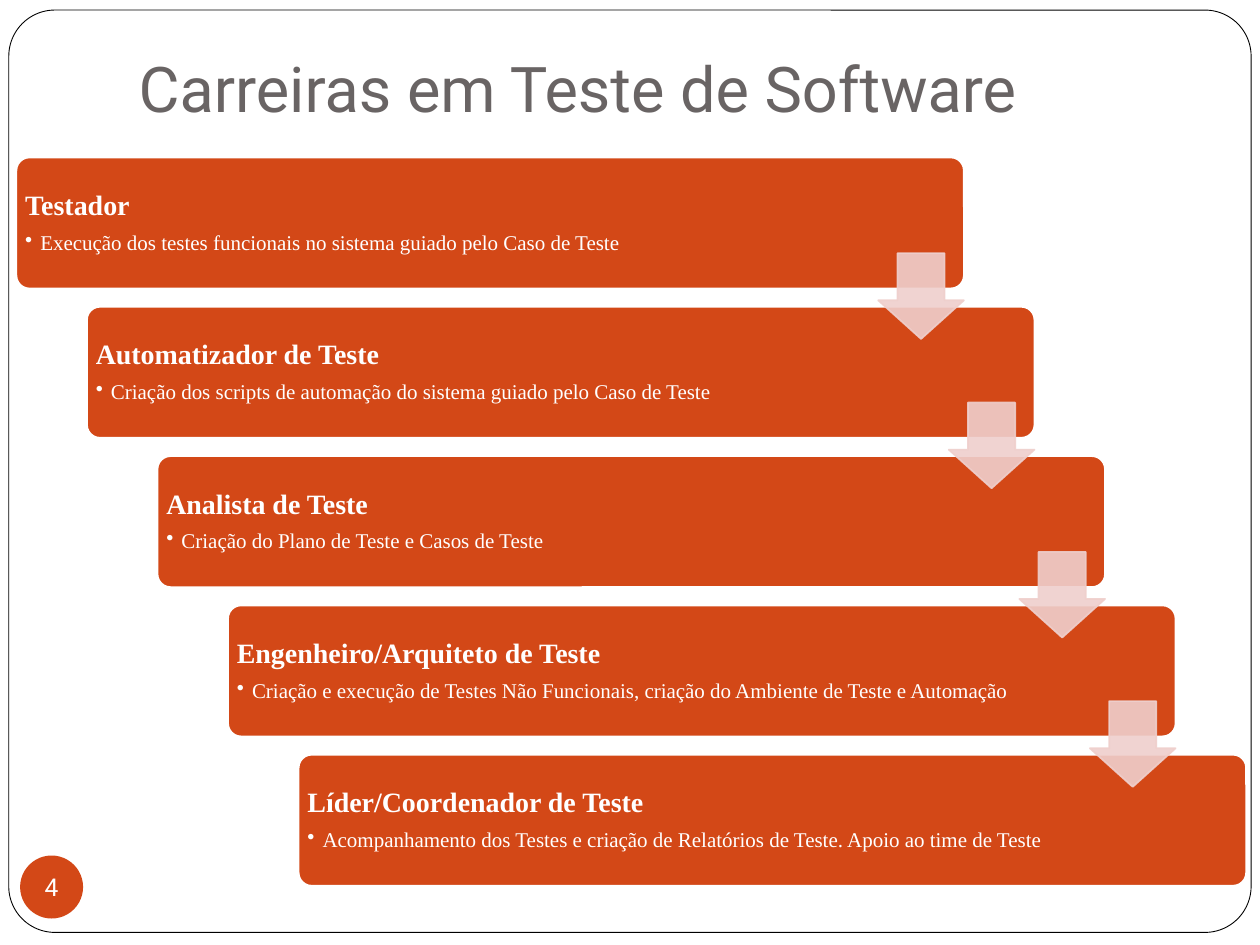
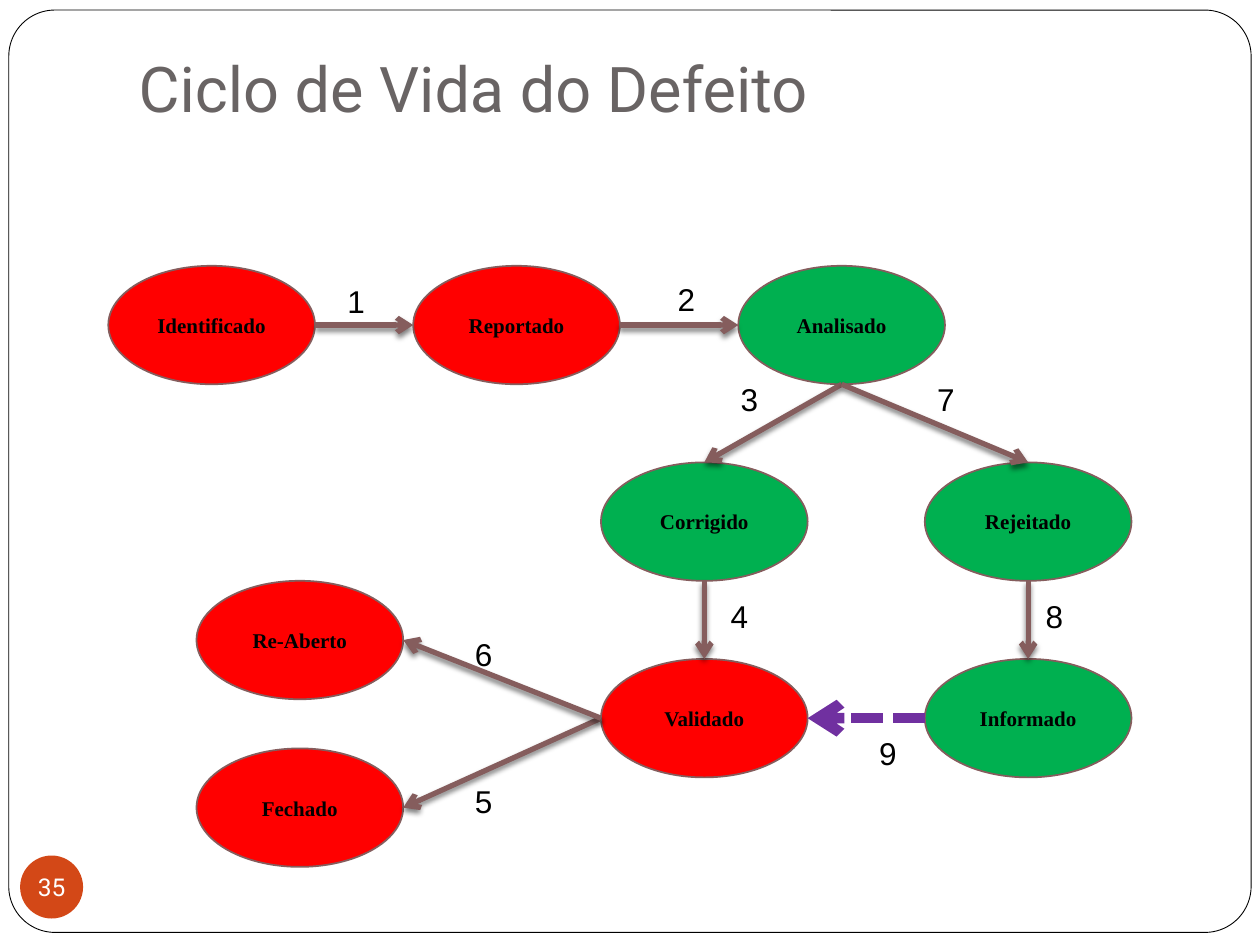
from lxml import etree
from pptx import Presentation
from pptx.dml.color import RGBColor
from pptx.enum.dml import MSO_LINE
from pptx.enum.shapes import MSO_CONNECTOR, MSO_SHAPE
from pptx.enum.text import MSO_ANCHOR, MSO_AUTO_SIZE, PP_ALIGN
from pptx.oxml.ns import qn
from pptx.util import Inches, Pt

ROUNDED, OVAL, DOWN_ARROW = MSO_SHAPE.ROUNDED_RECTANGLE, MSO_SHAPE.OVAL, MSO_SHAPE.DOWN_ARROW
STRAIGHT = MSO_CONNECTOR.STRAIGHT
SHORT_DASH = MSO_LINE.SQUARE_DOT
MIDDLE, BOTTOM = MSO_ANCHOR.MIDDLE, MSO_ANCHOR.BOTTOM
LEFT, CENTER = PP_ALIGN.LEFT, PP_ALIGN.CENTER
GROW = MSO_AUTO_SIZE.SHAPE_TO_FIT_TEXT

COLORS = {
    "white": "FFFFFF", "black": "000000", "title": "696464", "accent": "D34817",
    "step": "EFCFCC", "link": "855D5D", "return": "7030A0",
    "tester": "FF0000", "developer": "00B050",
}
HEADING_FONT, BODY_FONT, NUMBER_FONT = "Roboto", "Times New Roman", "Arial"

CAREERS = [
    ("Testador", "Execução dos testes funcionais no sistema guiado pelo Caso de Teste"),
    ("Automatizador de Teste",
     "Criação dos scripts de automação do sistema guiado pelo Caso de Teste"),
    ("Analista de Teste", "Criação do Plano de Teste e Casos de Teste"),
    ("Engenheiro/Arquiteto de Teste",
     "Criação e execução de Testes Não Funcionais, criação do Ambiente de Teste e Automação"),
    ("Líder/Coordenador de Teste",
     "Acompanhamento dos Testes e criação de Relatórios de Teste. Apoio ao time de Teste"),
]

# State: left, top, who is responsible
STATE_W, STATE_H = 1.64, 0.94
STATES = {
    "Identificado": (0.86, 2.11, "tester"),
    "Reportado": (3.28, 2.11, "tester"),
    "Analisado": (5.86, 2.11, "developer"),
    "Corrigido": (4.77, 3.67, "developer"),
    "Rejeitado": (7.34, 3.67, "developer"),
    "Validado": (4.77, 5.23, "tester"),
    "Informado": (7.34, 5.23, "developer"),
    "Re-Aberto": (1.56, 4.61, "tester"),
    "Fechado": (1.56, 5.94, "tester"),
}
# Transitions in numbered order: from, side, to, side, place of the number
TRANSITIONS = [
    ("Identificado", "right", "Reportado", "left", (2.66, 2.19)),
    ("Reportado", "right", "Analisado", "left", (5.28, 2.17)),
    ("Analisado", "bottom", "Corrigido", "top", (5.78, 2.97)),
    ("Corrigido", "bottom", "Validado", "top", (5.7, 4.69)),
    ("Validado", "left", "Fechado", "right", (3.67, 6.16)),
    ("Validado", "left", "Re-Aberto", "right", (3.67, 4.99)),
    ("Analisado", "bottom", "Rejeitado", "top", (7.34, 2.97)),
    ("Rejeitado", "bottom", "Informado", "top", (8.2, 4.69)),
    ("Informado", "left", "Validado", "right", (6.88, 5.78)),
]
SIDES = {"top": (0.5, 0), "left": (0, 0.5), "bottom": (0.5, 1), "right": (1, 0.5)}


def rgb(name):
    return RGBColor.from_string(COLORS[name])


def add_run(paragraph, text, size, font, color, bold=False):
    run = paragraph.add_run()
    run.text = text
    run.font.size = Pt(size)
    run.font.name = font
    run.font.bold = bold
    run.font.color.rgb = rgb(color)


def set_margins(frame, left, top, right, bottom):
    frame.margin_left, frame.margin_top = Inches(left), Inches(top)
    frame.margin_right, frame.margin_bottom = Inches(right), Inches(bottom)


def add_shape(slide, kind, box, fill, line=None, width=1):
    shape = slide.shapes.add_shape(kind, *map(Inches, box))
    shape.shadow.inherit = False
    shape.fill.solid()
    shape.fill.fore_color.rgb = rgb(fill)
    if line:
        shape.line.color.rgb = rgb(line)
        shape.line.width = Pt(width)
    else:
        shape.line.fill.background()
    return shape


def center_text(shape, text, size, font, color, bold=False):
    frame = shape.text_frame
    frame.vertical_anchor = MIDDLE
    frame.paragraphs[0].alignment = CENTER
    add_run(frame.paragraphs[0], text, size, font, color, bold)
    return frame


def add_base_slide(prs, title, number):
    """Slide with the shared frame, title and page badge."""
    slide = prs.slides.add_slide(prs.slide_layouts[5])

    # Frame, behind the title
    border = add_shape(slide, ROUNDED, (0.07, 0.08, 9.86, 7.32), "white", "black", 0.5)
    border.adjustments[0] = 0.05
    slide.shapes.element.insert(2, border.element)

    # Title
    heading = slide.shapes.title
    heading.left, heading.top = Inches(1), Inches(0.3)
    heading.width, heading.height = Inches(8.5), Inches(0.79)
    frame = heading.text_frame
    frame.vertical_anchor = BOTTOM
    set_margins(frame, 0.1, 0.05, 0.1, 0.1)
    frame.paragraphs[0].alignment = LEFT
    add_run(frame.paragraphs[0], title, 36, HEADING_FONT, "title")

    # Page badge
    badge = add_shape(slide, OVAL, (0.16, 6.79, 0.5, 0.5), "accent")
    frame = center_text(badge, str(number), 14, HEADING_FONT, "white")
    frame.word_wrap = False
    set_margins(frame, 0, 0, 0, 0)
    return slide


def add_career(slide, left, top, role, duty):
    """Career bar with the role and its bulleted duty."""
    bar = add_shape(slide, ROUNDED, (left, top, 7.52, 1.04), "accent", "white")
    bar.adjustments[0] = 0.1
    label = slide.shapes.add_textbox(*map(Inches, (left, top, 6.28, 1.04)))
    frame = label.text_frame
    frame.word_wrap = True
    frame.vertical_anchor = MIDDLE
    set_margins(frame, 0.07, 0.07, 0.07, 0.07)

    role_line, duty_line = frame.paragraphs[0], frame.add_paragraph()
    duty_line.level = 1
    properties = duty_line._p.get_or_add_pPr()
    properties.set("marL", str(Inches(0.12)))
    properties.set("indent", str(Inches(-0.12)))
    etree.SubElement(properties, qn("a:buChar"), char="•")
    for paragraph, space in ((role_line, 6), (duty_line, 2)):
        paragraph.line_spacing = 0.9
        paragraph.space_after = Pt(space)
    add_run(role_line, role, 16, BODY_FONT, "white", bold=True)
    add_run(duty_line, duty, 12, BODY_FONT, "white")


def add_step_arrow(slide, left, top):
    """Translucent arrow to the next career."""
    arrow = add_shape(slide, DOWN_ARROW, (left, top, 0.68, 0.68), "step", "step")
    arrow.adjustments[0], arrow.adjustments[1] = 0.55, 0.45
    for color in arrow.element.spPr.iter(qn("a:srgbClr")):
        etree.SubElement(color, qn("a:alpha"), val="90000")


def build_careers(slide, left, top):
    """Staircase of careers, then the arrows over it."""
    step_x, step_y = 0.56, 1.185
    for i, (role, duty) in enumerate(CAREERS):
        add_career(slide, left + i * step_x, top + i * step_y, role, duty)
    for i in range(len(CAREERS) - 1):
        add_step_arrow(slide, left + 6.84 + i * step_x, top + 0.76 + i * step_y)


def side_point(state, side):
    left, top, _ = STATES[state]
    across, down = SIDES[side]
    return Inches(left + across * STATE_W), Inches(top + down * STATE_H)


def add_transition(slide, start, end, is_return):
    """Arrow between states; the return one is dashed and has no shadow."""
    link = slide.shapes.add_connector(STRAIGHT, *start, *end)
    link.line.color.rgb = rgb("return" if is_return else "link")
    link.line.width = Pt(6 if is_return else 3)
    if is_return:
        link.line.dash_style = SHORT_DASH
    properties = link.element.spPr
    etree.SubElement(properties.find(qn("a:ln")), qn("a:tailEnd"), type="arrow")
    effects = etree.SubElement(properties, qn("a:effectLst"))
    if not is_return:
        shadow = etree.SubElement(effects, qn("a:outerShdw"), blurRad=str(Pt(3)),
                                  dist=str(Pt(2)), dir="5400000", rotWithShape="0")
        color = etree.SubElement(shadow, qn("a:srgbClr"), val=COLORS["black"])
        etree.SubElement(color, qn("a:alpha"), val="50000")


def add_number(slide, left, top, number):
    label = slide.shapes.add_textbox(*map(Inches, (left, top, 0.34, 0.4)))
    label.text_frame.word_wrap = False
    label.text_frame.auto_size = GROW
    add_run(label.text_frame.paragraphs[0], str(number), 18, NUMBER_FONT, "black")


def build_defect_cycle(slide):
    """States, numbered transitions between them."""
    for state, (left, top, owner) in STATES.items():
        oval = add_shape(slide, OVAL, (left, top, STATE_W, STATE_H), owner, "link")
        center_text(oval, state, 12, BODY_FONT, "black", bold=True)
    for number, (source, exit_side, target, entry_side, spot) in enumerate(TRANSITIONS, 1):
        add_transition(slide, side_point(source, exit_side), side_point(target, entry_side),
                       is_return=source == "Informado")
        add_number(slide, *spot, number)


def main():
    prs = Presentation()
    prs.slide_width, prs.slide_height = Inches(10), Inches(7.5)
    build_careers(add_base_slide(prs, "Carreiras em Teste de Software", 4), 0.13, 1.25)
    build_defect_cycle(add_base_slide(prs, "Ciclo de Vida do Defeito", 35))
    prs.save("out.pptx")


if __name__ == "__main__":
    main()
